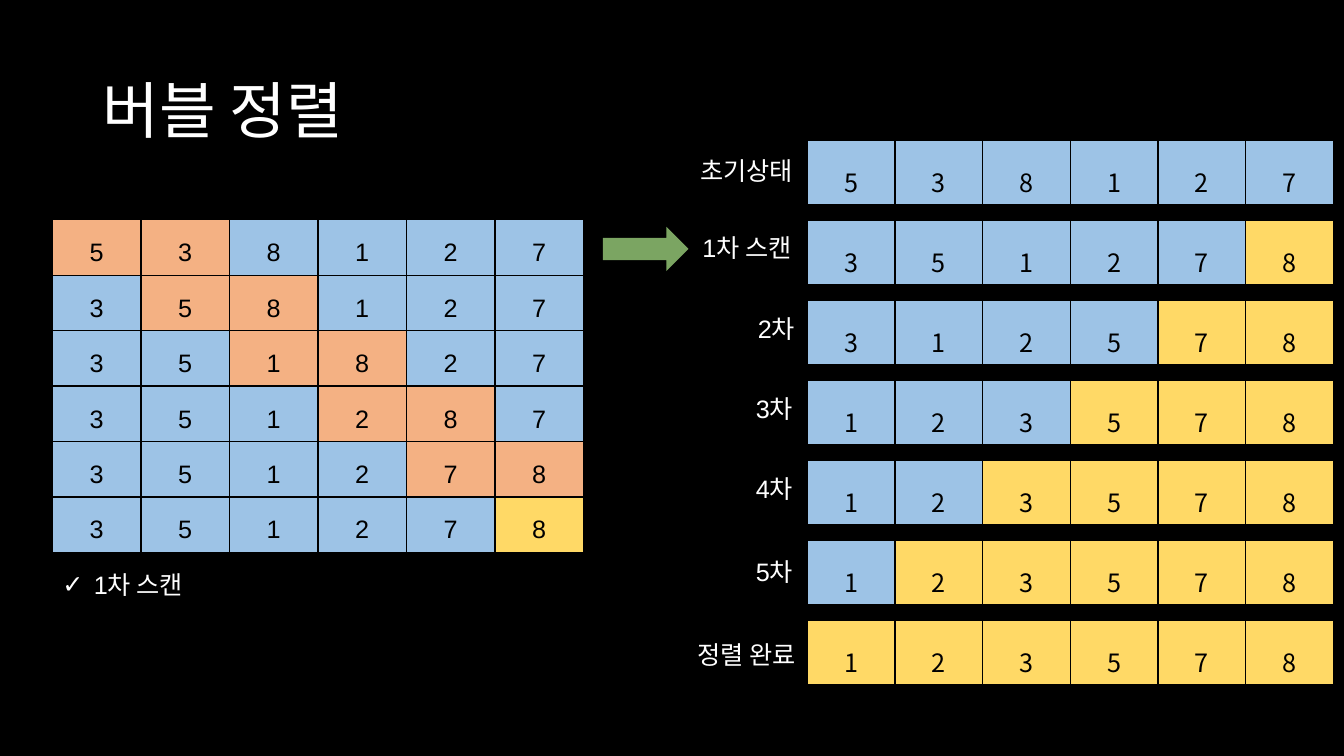
"""Build a slide that traces bubble sort, one pass in detail and then pass by pass."""
from dataclasses import dataclass
from typing import Optional

from lxml import etree
from pptx import Presentation
from pptx.dml.color import RGBColor
from pptx.enum.shapes import MSO_SHAPE
from pptx.enum.text import MSO_ANCHOR, MSO_AUTO_SIZE, PP_ALIGN
from pptx.oxml.ns import qn
from pptx.slide import Slide
from pptx.text.text import TextFrame
from pptx.util import Pt

RIGHT_ARROW = MSO_SHAPE.RIGHT_ARROW
MIDDLE = MSO_ANCHOR.MIDDLE
FIXED_SIZE = MSO_AUTO_SIZE.NONE
GROW = MSO_AUTO_SIZE.SHAPE_TO_FIT_TEXT
LEFT, CENTER = PP_ALIGN.LEFT, PP_ALIGN.CENTER
TITLE_ONLY = 5


@dataclass(frozen=True)
class Theme:
    background: str = "000000"
    light_text: str = "FFFFFF"
    cell_text: str = "000000"
    border: str = "000000"
    unsorted: str = "9DC3E6"
    compared: str = "F4B183"
    sorted: str = "FFD966"
    arrow: str = "7BA562"
    font: str = "Arial"
    pass_font: str = "Noto Sans CJK KR"
    title_size: float = 44
    body_size: float = 18
    border_width: float = 1


@dataclass(frozen=True)
class Box:
    left: float
    top: float
    width: float
    height: float


@dataclass(frozen=True)
class ArrayState:
    digits: str
    sorted_count: int = 0
    compared_at: Optional[int] = None

    def color(self, index: int) -> str:
        if self.compared_at is not None and index - self.compared_at in (0, 1):
            return THEME.compared
        if index >= len(self.digits) - self.sorted_count:
            return THEME.sorted
        return THEME.unsorted


@dataclass(frozen=True)
class SortPass:
    label: str
    label_left: float
    label_top: float
    label_width: float
    state: ArrayState


THEME = Theme()
SCAN_BOX = Box(37.44, 156.96, 379.44, 237.6)
FIRST_PASS_BOX = Box(576.72, 100.08, 375.84, 46.08)
PASS_PITCH = 57.12
LABEL_HEIGHT = 29

SCAN_STEPS = [
    ArrayState("538127", compared_at=0),
    ArrayState("358127", compared_at=1),
    ArrayState("351827", compared_at=2),
    ArrayState("351287", compared_at=3),
    ArrayState("351278", compared_at=4),
    ArrayState("351278", sorted_count=1),
]
PASSES = [
    SortPass("초기상태", 493.2, 107.28, 96.48, ArrayState("538127")),
    SortPass("1차 스캔", 494.64, 162.72, 95.04, ArrayState("351278", 1)),
    SortPass("2차", 534.24, 220.32, 56.88, ArrayState("312578", 2)),
    SortPass("3차", 532.8, 277.2, 56.88, ArrayState("123578", 3)),
    SortPass("4차", 532.8, 334.8, 56.88, ArrayState("123578", 4)),
    SortPass("5차", 532.8, 393.84, 56.88, ArrayState("123578", 5)),
    SortPass("정렬 완료", 491.04, 452.88, 98.64, ArrayState("123578", 6)),
]


def rgb(color: str) -> RGBColor:
    return RGBColor.from_string(color)


def lengths(box: Box) -> tuple:
    return Pt(box.left), Pt(box.top), Pt(box.width), Pt(box.height)


def write(frame: TextFrame, text: str, size: float, color: str, font: str, align=LEFT) -> None:
    frame.text = text
    paragraph = frame.paragraphs[0]
    paragraph.alignment = align
    for run in paragraph.runs:
        run.font.size = Pt(size)
        run.font.name = font
        run.font.color.rgb = rgb(color)


def add_borders(cell) -> None:
    properties = cell._tc.get_or_add_tcPr()
    for side in ("a:lnL", "a:lnR", "a:lnT", "a:lnB"):
        line = etree.SubElement(properties, qn(side), w=str(Pt(THEME.border_width)))
        fill = etree.SubElement(line, qn("a:solidFill"))
        etree.SubElement(fill, qn("a:srgbClr"), val=THEME.border)


def add_states(slide: Slide, box: Box, states: list[ArrayState], font: str) -> None:
    column_count = len(states[0].digits)
    table = slide.shapes.add_table(len(states), column_count, *lengths(box)).table
    table.first_row = False
    table.horz_banding = False
    for column in table.columns:
        column.width = Pt(box.width / column_count)
    for row, state in zip(table.rows, states):
        row.height = Pt(box.height / len(states))
        for index, (cell, digit) in enumerate(zip(row.cells, state.digits)):
            add_borders(cell)
            cell.fill.solid()
            cell.fill.fore_color.rgb = rgb(state.color(index))
            write(cell.text_frame, digit, THEME.body_size, THEME.cell_text, font, CENTER)
            cell.text_frame.paragraphs[0].line_spacing = 1.5


def add_label(slide: Slide, text: str, box: Box, wrap: bool = True) -> TextFrame:
    frame = slide.shapes.add_textbox(*lengths(box)).text_frame
    frame.word_wrap = wrap
    frame.auto_size = GROW
    write(frame, text, THEME.body_size, THEME.light_text, THEME.font)
    return frame


def add_check_bullet(frame: TextFrame) -> None:
    properties = frame.paragraphs[0]._p.get_or_add_pPr()
    properties.set("marL", str(Pt(22.5)))
    properties.set("indent", str(Pt(-22.5)))
    etree.SubElement(properties, qn("a:buFont"), typeface=THEME.font)
    etree.SubElement(properties, qn("a:buChar"), char="✓")


def add_title(slide: Slide, text: str, box: Box) -> None:
    title = slide.shapes.title
    title.left, title.top, title.width, title.height = lengths(box)
    frame = title.text_frame
    frame.auto_size = FIXED_SIZE
    frame.vertical_anchor = MIDDLE
    write(frame, text, THEME.title_size, THEME.light_text, THEME.font)
    frame.paragraphs[0].line_spacing = 0.9


def add_arrow(slide: Slide, box: Box) -> None:
    arrow = slide.shapes.add_shape(RIGHT_ARROW, *lengths(box))
    arrow.shadow.inherit = False
    arrow.fill.solid()
    arrow.fill.fore_color.rgb = rgb(THEME.arrow)
    arrow.line.fill.background()


def main() -> None:
    presentation = Presentation()
    presentation.slide_width, presentation.slide_height = Pt(960), Pt(540)
    slide = presentation.slides.add_slide(presentation.slide_layouts[TITLE_ONLY])
    slide.background.fill.solid()
    slide.background.fill.fore_color.rgb = rgb(THEME.background)

    add_title(slide, "버블 정렬", Box(66, 28.8, 828, 104.4))
    add_states(slide, SCAN_BOX, SCAN_STEPS, THEME.font)
    scan_caption = add_label(slide, "1차 스캔", Box(37.44, 403.2, 108, LABEL_HEIGHT), wrap=False)
    add_check_bullet(scan_caption)

    first = FIRST_PASS_BOX
    for number, sort_pass in enumerate(PASSES):
        pass_box = Box(first.left, first.top + number * PASS_PITCH, first.width, first.height)
        add_states(slide, pass_box, [sort_pass.state], THEME.pass_font)
        label_box = Box(sort_pass.label_left, sort_pass.label_top, sort_pass.label_width, LABEL_HEIGHT)
        add_label(slide, sort_pass.label, label_box)

    add_arrow(slide, Box(430.56, 162, 61.2, 31.68))
    presentation.save("out.pptx")


if __name__ == "__main__":
    main()
